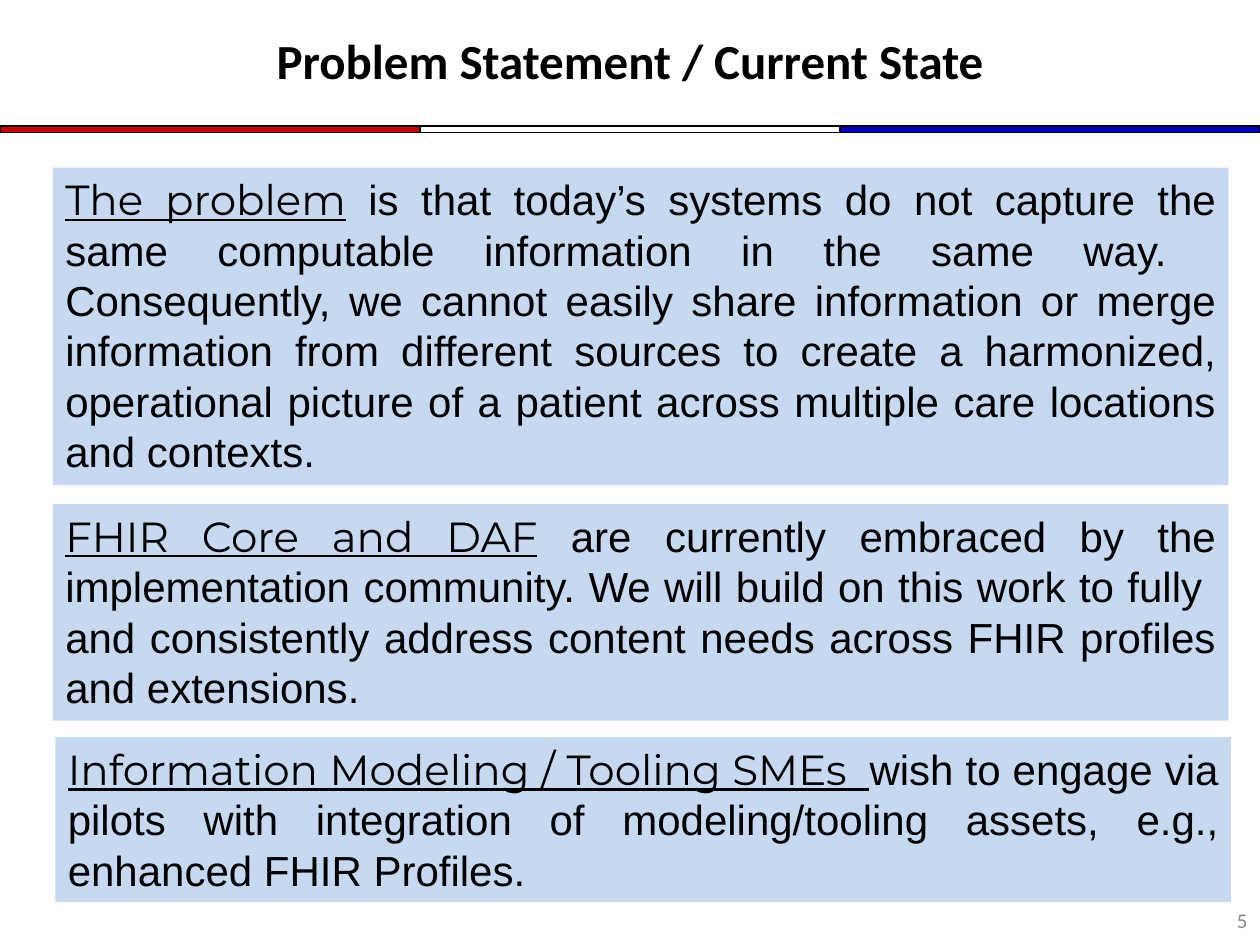
from pptx import Presentation
from pptx.dml.color import RGBColor
from pptx.enum.shapes import MSO_SHAPE
from pptx.enum.text import MSO_ANCHOR, MSO_AUTO_SIZE, PP_ALIGN
from pptx.util import Inches, Pt

RECTANGLE = MSO_SHAPE.RECTANGLE
MIDDLE, TOP = MSO_ANCHOR.MIDDLE, MSO_ANCHOR.TOP
WIDTH, HEIGHT = 10, 7.5
BLACK, GREY, PALE_BLUE = "000000", "898989", "C6D9F1"

TITLE = "Problem Statement / Current State"
PAGE_NUMBER = "5"
STRIPE_COLORS = ["CC0000", "FFFFFF", "0000C4"]
STRIPE_TOP, STRIPE_HEIGHT = 1, 0.05
PANEL_WIDTH = 9.33
# left, top, height, underlined lead, statement
PANELS = [
    (0.42, 1.33, 2.52, "The problem",
     " is that today’s systems do not capture the same computable information "
     "in the same way.  Consequently, we cannot easily share information or "
     "merge information from different sources to create a harmonized, "
     "operational picture of a patient across multiple care locations and "
     "contexts."),
    (0.42, 4, 1.72, "FHIR Core and DAF",
     " are currently embraced by the implementation community. We will build "
     "on this work to fully  and consistently address content needs across "
     "FHIR profiles and extensions. "),
    (0.44, 5.85, 1.31, "Information Modeling / Tooling SMEs  ",
     "wish to engage via pilots with integration of modeling/tooling assets, "
     "e.g., enhanced FHIR Profiles."),
]


def rgb(color):
    return RGBColor.from_string(color)


def style(font, name, size, color=BLACK):
    font.name, font.size = name, Pt(size)
    font.color.rgb = rgb(color)


def add_rectangle(left, top, width, height, fill):
    shape = page.shapes.add_shape(
        RECTANGLE, Inches(left), Inches(top), Inches(width), Inches(height))
    shape.shadow.inherit = False
    shape.fill.solid()
    shape.fill.fore_color.rgb = rgb(fill)
    return shape


def add_panel(left, top, height, lead, statement):
    panel = add_rectangle(left, top, PANEL_WIDTH, height, PALE_BLUE)
    panel.line.fill.background()
    frame = panel.text_frame
    frame.word_wrap = True
    frame.auto_size = MSO_AUTO_SIZE.SHAPE_TO_FIT_TEXT
    frame.vertical_anchor = TOP
    para = frame.paragraphs[0]
    para.alignment = PP_ALIGN.JUSTIFY
    for text, font_name, underlined in (
            (lead, "Montserrat", True), (statement, "Arial", False)):
        span = para.add_run()
        span.text = text
        style(span.font, font_name, 24)
        span.font.underline = underlined


def write_line(box, text, alignment, size, color):
    frame = box.text_frame
    frame.word_wrap = True
    frame.vertical_anchor = MIDDLE
    para = frame.paragraphs[0]
    para.text = text
    para.alignment = alignment
    style(para.font, "Calibri", size, color)
    return para


deck = Presentation()
deck.slide_width, deck.slide_height = Inches(WIDTH), Inches(HEIGHT)
page = deck.slides.add_slide(deck.slide_layouts[5])

stripe_width = WIDTH / len(STRIPE_COLORS)
for column, color in enumerate(STRIPE_COLORS):
    stripe = add_rectangle(
        column * stripe_width, STRIPE_TOP, stripe_width, STRIPE_HEIGHT, color)
    stripe.line.color.rgb = rgb(BLACK)
    stripe.line.width = Pt(0.75)

title = page.shapes.title
title.left, title.top = Inches(0.5), Inches(0)
title.width, title.height = Inches(WIDTH - 1), Inches(0.95)
write_line(title, TITLE, PP_ALIGN.CENTER, 28, BLACK).font.bold = True

for panel_content in PANELS:
    add_panel(*panel_content)

number_box = page.shapes.add_textbox(
    Inches(7.67), Inches(7.1), Inches(2.33), Inches(0.4))
write_line(number_box, PAGE_NUMBER, PP_ALIGN.RIGHT, 12, GREY)

deck.save("out.pptx")
